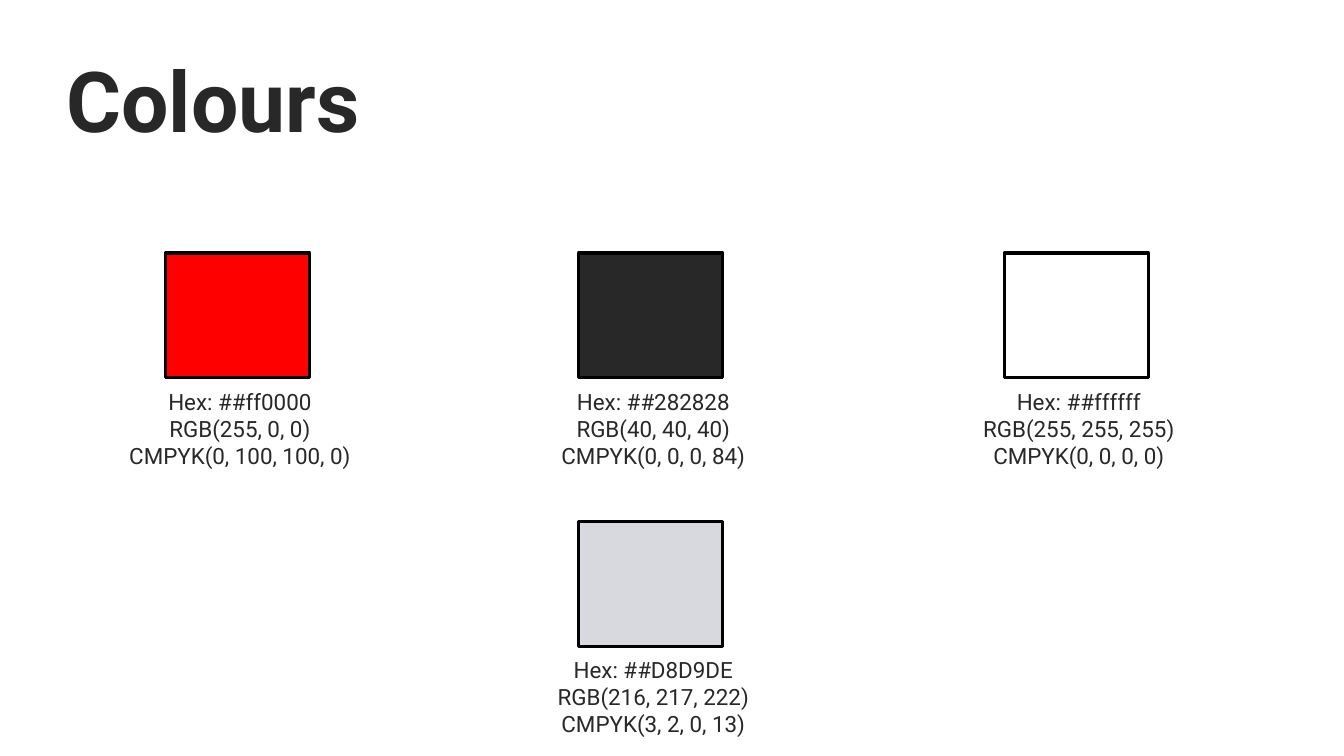
"""Build the brand colour palette slide."""
from copy import deepcopy
from dataclasses import dataclass

from pptx import Presentation
from pptx.dml.color import RGBColor
from pptx.enum.shapes import MSO_SHAPE
from pptx.enum.text import MSO_AUTO_SIZE, PP_ALIGN
from pptx.oxml.ns import qn
from pptx.shapes.shapetree import GroupShapes, SlideShapes
from pptx.util import Inches, Pt

RECTANGLE = MSO_SHAPE.RECTANGLE
FIT_SHAPE = MSO_AUTO_SIZE.SHAPE_TO_FIT_TEXT
LEFT, CENTER = PP_ALIGN.LEFT, PP_ALIGN.CENTER

SLIDE_WIDTH, SLIDE_HEIGHT = 13.33, 7.5
COLUMNS = (0.91, 5.01, 9.23)
ROWS = (2.51, 5.17)
CAPTION_WIDTH, CAPTION_HEIGHT = 2.94, 0.91
CAPTION_DROP = 1.29
SWATCH_WIDTH, SWATCH_HEIGHT = 1.43, 1.24
SWATCH_INDENT = 0.73

COLOURS = {
    "red": "FF0000",
    "charcoal": "282828",
    "white": "FFFFFF",
    "grey": "D8D9DE",
    "outline": "000000",
}
TITLE_FORMAT = {"name": "Roboto", "size": Pt(60), "bold": True}
CAPTION_FORMAT = {"name": "Roboto", "size": Pt(16)}


@dataclass(frozen=True)
class Swatch:
    """A colour sample with its grid cell and caption."""

    column: int
    row: int
    colour: str
    caption: str


SWATCHES = (
    Swatch(0, 0, "red", "Hex: ##ff0000\nRGB(255, 0, 0)\nCMPYK(0, 100, 100, 0)"),
    Swatch(1, 0, "charcoal", "Hex: ##282828\nRGB(40, 40, 40)\nCMPYK(0, 0, 0, 84)"),
    Swatch(2, 0, "white", "Hex: ##ffffff\nRGB(255, 255, 255)\nCMPYK(0, 0, 0, 0)"),
    Swatch(1, 1, "grey", "Hex: ##D8D9DE\nRGB(216, 217, 222)\nCMPYK(3, 2, 0, 13)"),
)


def rgb(name: str) -> RGBColor:
    """Return the named palette colour."""
    return RGBColor.from_string(COLOURS[name])


def add_text(
    shapes: SlideShapes | GroupShapes,
    box: tuple[float, float, float, float],
    text: str,
    font_format: dict,
    alignment: PP_ALIGN,
) -> None:
    """Add a wrapped text box whose line breaks share the text's format."""
    frame = shapes.add_textbox(*map(Inches, box)).text_frame
    frame.word_wrap = True
    frame.auto_size = FIT_SHAPE
    paragraph = frame.paragraphs[0]
    paragraph.text = text
    paragraph.alignment = alignment
    for run in paragraph.runs:
        for attribute, value in font_format.items():
            setattr(run.font, attribute, value)
        run.font.color.rgb = rgb("charcoal")
    run_properties = paragraph.runs[0]._r.find(qn("a:rPr"))
    for line_break in paragraph._p.findall(qn("a:br")):
        line_break.append(deepcopy(run_properties))


def add_swatch(shapes: SlideShapes, swatch: Swatch) -> None:
    """Add a grouped colour sample and caption in its grid cell."""
    left, top = COLUMNS[swatch.column], ROWS[swatch.row]
    group = shapes.add_group_shape()
    box = (left + SWATCH_INDENT, top, SWATCH_WIDTH, SWATCH_HEIGHT)
    sample = group.shapes.add_shape(RECTANGLE, *map(Inches, box))
    sample.shadow.inherit = False
    sample.fill.solid()
    sample.fill.fore_color.rgb = rgb(swatch.colour)
    sample.line.color.rgb = rgb("outline")
    sample.line.width = Pt(2.25)
    caption_box = (left, top + CAPTION_DROP, CAPTION_WIDTH, CAPTION_HEIGHT)
    add_text(group.shapes, caption_box, swatch.caption, CAPTION_FORMAT, CENTER)


def main() -> None:
    """Create and save the presentation."""
    presentation = Presentation()
    presentation.slide_width = Inches(SLIDE_WIDTH)
    presentation.slide_height = Inches(SLIDE_HEIGHT)
    slide = presentation.slides.add_slide(presentation.slide_layouts[6])
    add_text(slide.shapes, (0.56, 0.43, 7.23, 1.11), "Colours", TITLE_FORMAT, LEFT)
    for swatch in SWATCHES:
        add_swatch(slide.shapes, swatch)
    presentation.save("out.pptx")


if __name__ == "__main__":
    main()
